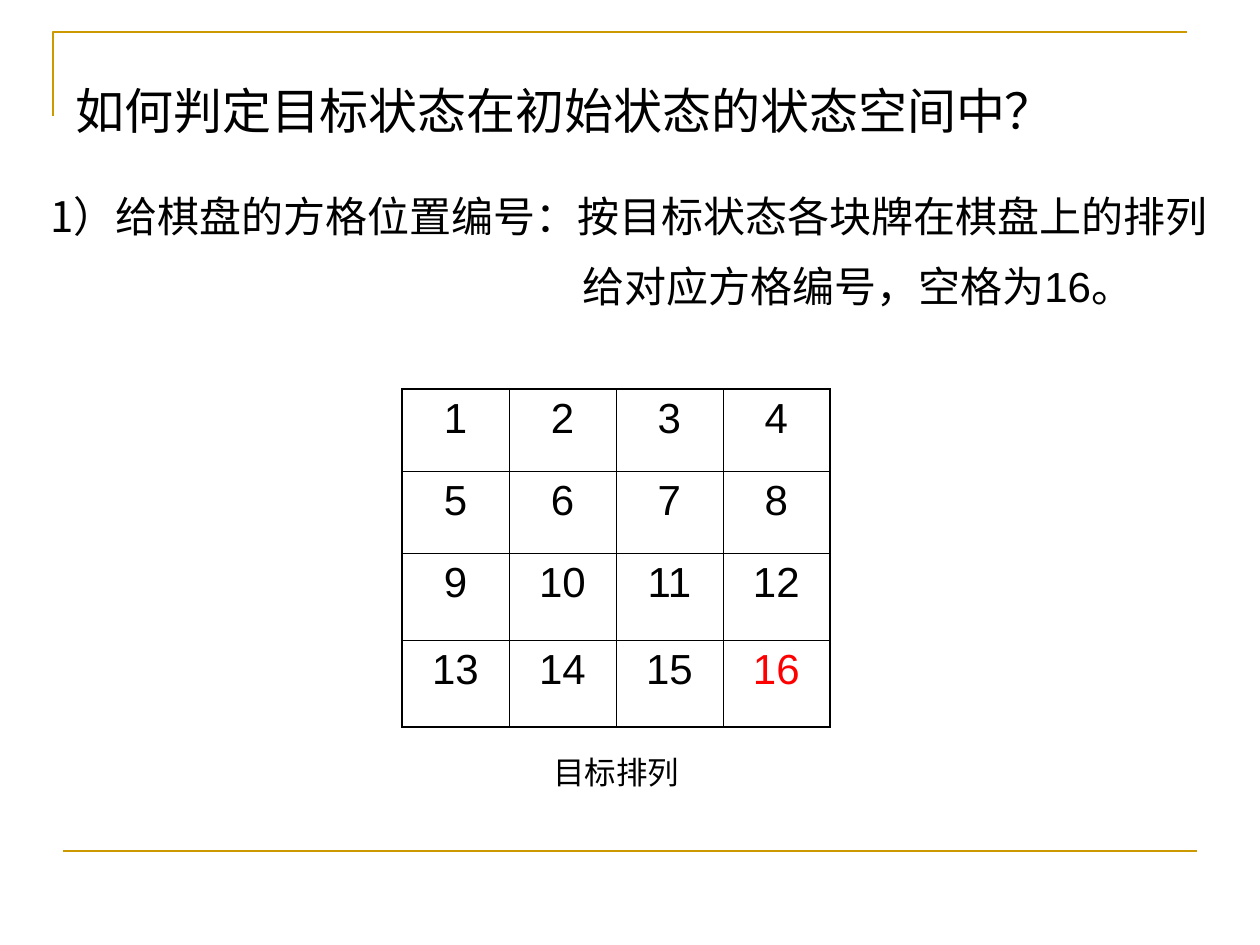
"""Build a slide that numbers the squares of a 4 by 4 puzzle board."""
from lxml import etree
from pptx import Presentation
from pptx.dml.color import RGBColor
from pptx.enum.shapes import MSO_CONNECTOR
from pptx.enum.text import MSO_ANCHOR, PP_ALIGN
from pptx.oxml.ns import qn
from pptx.util import Emu, Pt

STRAIGHT = MSO_CONNECTOR.STRAIGHT
TOP = MSO_ANCHOR.TOP
LEFT, CENTER = PP_ALIGN.LEFT, PP_ALIGN.CENTER
SCALE = 914400 / 126
THEME = {
    "gold": "CC9900", "black": "000000", "red": "FF0000",
    "latin": "Arial", "cjk": "Noto Sans CJK SC",
    "title": 28, "body": 24, "caption": 18,
    "rule": 1.5, "outer": 1.08, "inner": 0.45,
}


def px(n):
    return Emu(round(n * SCALE))


def write(tf, text, size="body", font="latin", color="black", align=LEFT, before=0, spacing=None):
    p = tf.paragraphs[0]
    p.alignment = align
    p.space_before = Pt(before)
    if spacing:
        p.line_spacing = spacing
    r = p.add_run()
    r.text = text
    r.font.size = Pt(THEME[size])
    r.font.name = THEME[font]
    r.font.color.rgb = RGBColor.from_string(THEME[color])
    etree.SubElement(r.font._element, qn("a:ea"), typeface=THEME["cjk"])
    return p


prs = Presentation()
prs.slide_width, prs.slide_height = px(1260), px(945)
s = prs.slides.add_slide(prs.slide_layouts[6])

fb = s.shapes.build_freeform(53, 116, scale=SCALE)
fb.add_line_segments([(53, 32), (1187, 32)], close=False)
corner = fb.convert_to_shape()
corner.fill.background()
corner.shadow.inherit = False
rule = s.shapes.add_connector(STRAIGHT, px(63), px(851), px(1197), px(851))
etree.SubElement(rule._element.spPr, qn("a:effectLst"))
for sp in (corner, rule):
    sp.line.color.rgb = RGBColor.from_string(THEME["gold"])
    sp.line.width = Pt(THEME["rule"])

frames = []
for x, y, w, h in ((63, 74, 1134, 87), (38, 164, 1186, 163), (541, 747, 307, 50)):
    tf = s.shapes.add_textbox(px(x), px(y), px(w), px(h)).text_frame
    tf.word_wrap = True
    tf.vertical_anchor = TOP
    frames.append(tf)
title, body, caption = frames
write(title, "如何判定目标状态在初始状态的状态空间中？", size="title", font="cjk")
write(body, "1）给棋盘的方格位置编号", font="cjk", spacing=1.4)
p = write(body, "：按目标状态各块牌在棋盘上的排列给对应方格编号，空格为16。", spacing=1.4)
pPr = p._p.get_or_add_pPr()
pPr.set("marL", str(px(532)))
pPr.set("indent", str(px(-532)))
write(caption, "目标排列", size="caption", before=11.2)

N = 4
frame = s.shapes.add_table(N, N, px(402), px(389), px(427), px(338))
table = frame.table
table.first_row = table.horz_banding = False
for col in table.columns:
    col.width = px(107)
for row, height in zip(table.rows, (82, 82, 87, 87)):
    row.height = px(height)
for i in range(N * N):
    row, col = divmod(i, N)
    cell = table.cell(row, col)
    write(cell.text_frame, str(i + 1), color="red" if i == N * N - 1 else "black",
          align=CENTER, before=6)
    tcPr = cell._tc.get_or_add_tcPr()
    edges = {"lnL": col == 0, "lnR": col == N - 1, "lnT": row == 0, "lnB": row == N - 1}
    for tag, outer in edges.items():
        width = Pt(THEME["outer" if outer else "inner"])
        ln = etree.SubElement(tcPr, qn(f"a:{tag}"), w=str(width))
        fill = etree.SubElement(ln, qn("a:solidFill"))
        etree.SubElement(fill, qn("a:srgbClr"), val=THEME["black"])
    cell.fill.background()

prs.save("out.pptx")
